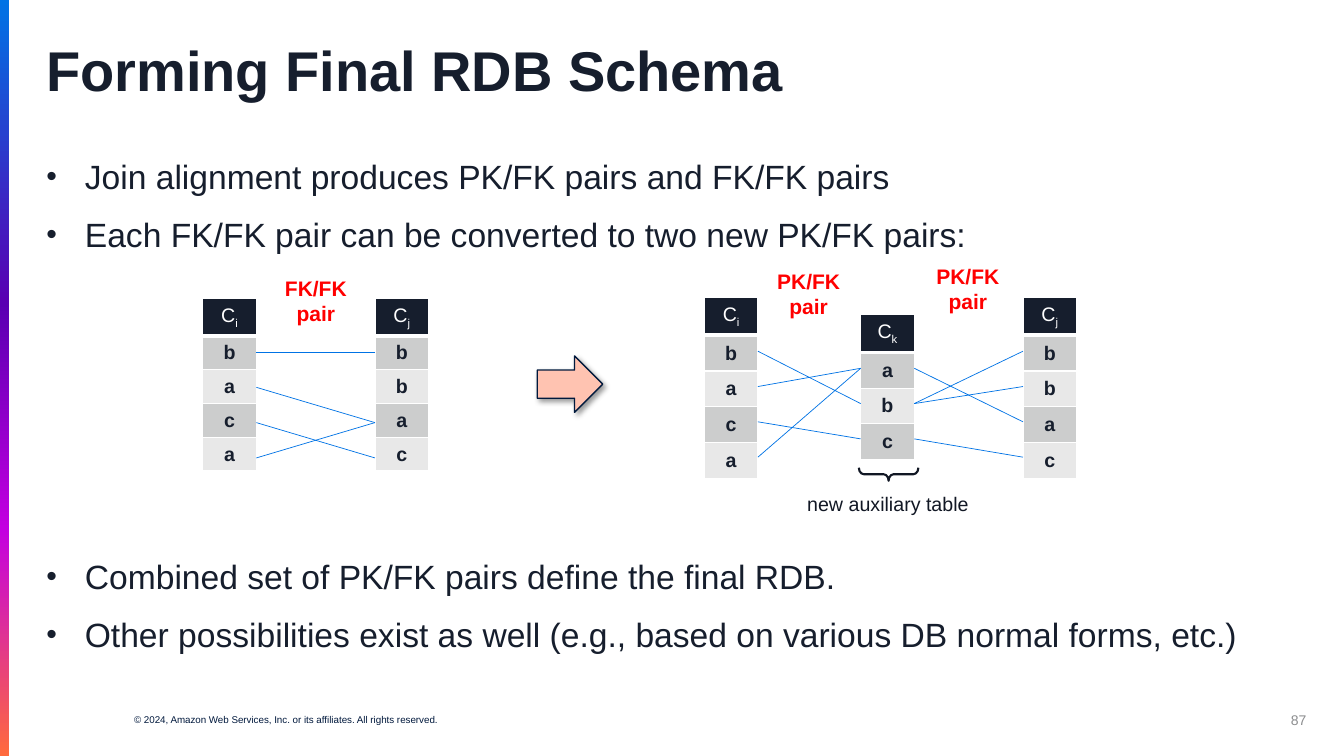
from lxml.etree import SubElement
from pptx import Presentation
from pptx.dml.color import RGBColor
from pptx.enum.shapes import MSO_CONNECTOR, MSO_SHAPE
from pptx.enum.text import MSO_ANCHOR, PP_ALIGN
from pptx.oxml.ns import qn
from pptx.util import Cm, Pt

COLORS = {
    "ink": "161E2D", "caption": "111724", "navy": "00193D", "red": "FF0000",
    "number": "8C8D8F", "white": "FFFFFF", "link": "0073E5", "peach": "FFC3B1",
    "odd_row": "CCCDCD", "even_row": "E8E8E8", "black": "000000",
}
BAR_STOPS = [(0, "0073E5"), (40, "5900B2"), (70, "C300E0"), (100, "FF6A3D")]

# Text formats
FORMATS = {
    "title": {"size": Pt(40), "bold": True, "color": "ink"},
    "body": {"size": Pt(24), "bold": False, "color": "ink"},
    "label": {"size": Pt(15), "bold": True, "color": "red"},
    "caption": {"size": Pt(14), "bold": False, "color": "caption"},
    "header": {"size": Pt(14), "bold": False, "color": "white"},
    "value": {"size": Pt(14), "bold": True, "color": "ink"},
    "footer": {"size": Pt(7), "bold": False, "color": "navy"},
    "number": {"size": Pt(10), "bold": False, "color": "number"},
}

# Texts: format, alignment, box in cm (left, top, width, height), lines
TEXTS = [
    ("title", PP_ALIGN.LEFT, (1.17, 0.97, 31.72, 1.8), ["Forming Final RDB Schema"]),
    ("body", PP_ALIGN.LEFT, (1.17, 3.81, 31.72, 2.9), [
        "Join alignment produces PK/FK pairs and FK/FK pairs",
        "Each FK/FK pair can be converted to two new PK/FK pairs:"]),
    ("body", PP_ALIGN.LEFT, (1.17, 13.89, 31.72, 2.9), [
        "Combined set of PK/FK pairs define the final RDB.",
        "Other possibilities exist as well (e.g., based on various DB normal forms, etc.)"]),
    ("label", PP_ALIGN.CENTER, (6.73, 6.81, 2.46, 1.55), ["FK/FK pair"]),
    ("label", PP_ALIGN.CENTER, (19.15, 6.63, 2.46, 1.55), ["PK/FK pair"]),
    ("label", PP_ALIGN.CENTER, (23.16, 6.5, 2.46, 1.55), ["PK/FK pair"]),
    ("caption", PP_ALIGN.CENTER, (19.84, 12.27, 5.08, 0.86), ["new auxiliary table"]),
    ("footer", PP_ALIGN.LEFT, (3.38, 17.98, 13.56, 0.3), [
        "© 2024, Amazon Web Services, Inc. or its affiliates. All rights reserved."]),
    ("number", PP_ALIGN.RIGHT, (25.3, 17.63, 7.62, 1.02), ["87"]),
]

# Column tables: left, top, row height in cm, subscript of C, values
COLUMNS = {
    "fk_i": (5.11, 7.52, 0.85, "i", "baca"),
    "fk_j": (9.45, 7.52, 0.85, "j", "bbac"),
    "pk_i": (17.75, 7.5, 0.9, "i", "baca"),
    "pk_k": (21.69, 7.93, 0.9, "k", "abc"),
    "pk_j": (25.78, 7.5, 0.9, "j", "bbac"),
}
# Links: from column, to column, pairs of value rows counted from 0
LINKS = [
    ("fk_i", "fk_j", [(0, 0), (1, 2), (2, 3), (3, 2)]),
    ("pk_i", "pk_k", [(0, 1), (1, 0), (2, 2), (3, 0)]),
    ("pk_k", "pk_j", [(0, 2), (1, 1), (1, 0), (2, 3)]),
]
COLUMN_WIDTH, HEADER_HEIGHT = 1.35, 0.95
FIRST_LINK, LINK_PITCH = 1.35, 0.89

presentation = Presentation()
presentation.slide_width, presentation.slide_height = Cm(33.87), Cm(19.05)
slide = presentation.slides.add_slide(presentation.slide_layouts[6])
shapes = slide.shapes


def rgb(name):
    return RGBColor.from_string(COLORS[name])


def set_all(target, values):
    for key, value in values.items():
        setattr(target, key, value)


def style(font, name):
    values = dict(FORMATS[name], name="Arial")
    font.color.rgb = rgb(values.pop("color"))
    set_all(font, values)


def add_child(parent, tag, **attributes):
    return SubElement(parent, qn(tag), attributes)


def add_bullet(paragraph):
    properties = paragraph._p.get_or_add_pPr()
    properties.set("marL", str(Cm(0.97)))
    properties.set("indent", str(-Cm(0.97)))
    add_child(add_child(properties, "a:buClr"), "a:srgbClr", val=COLORS["ink"])
    add_child(properties, "a:buSzPct", val="90000")
    add_child(properties, "a:buFont", typeface="Arial")
    add_child(properties, "a:buChar", char="•")


def add_text(name, alignment, box, lines):
    frame = shapes.add_textbox(*map(Cm, box)).text_frame
    inset = Cm(0 if name in ("footer", "number") else 0.13)
    set_all(frame, {
        "word_wrap": True, "margin_left": 0, "margin_right": 0,
        "margin_top": inset, "margin_bottom": inset,
        "vertical_anchor": MSO_ANCHOR.MIDDLE if name == "number" else MSO_ANCHOR.TOP})
    for index, line in enumerate(lines):
        paragraph = frame.paragraphs[0] if index == 0 else frame.add_paragraph()
        paragraph.alignment = alignment
        if name == "title":
            paragraph.line_spacing = 0.9
        if name == "body":
            paragraph.space_after = Pt(12)
            add_bullet(paragraph)
        run = paragraph.add_run()
        run.text = line
        style(run.font, name)


def add_borders(cell, bottom):
    properties = cell._tc.get_or_add_tcPr()
    for side in ("L", "R", "T", "B"):
        width = bottom if side == "B" else 1
        line = add_child(properties, f"a:ln{side}", w=str(Pt(width)))
        add_child(add_child(line, "a:solidFill"), "a:srgbClr", val=COLORS["white"])


def add_column(left, top, row_height, subscript, values):
    rows = [("C", subscript)] + [(value,) for value in values]
    heights = [HEADER_HEIGHT] + [row_height] * len(values)
    table = shapes.add_table(len(rows), 1, Cm(left), Cm(top),
                             Cm(COLUMN_WIDTH), Cm(sum(heights))).table
    set_all(table, {"first_row": False, "horz_banding": False})
    for index, (parts, height) in enumerate(zip(rows, heights)):
        table.rows[index].height = Cm(height)
        cell = table.cell(index, 0)
        set_all(cell, {"margin_left": Cm(0.1), "margin_right": Cm(0.1),
                       "margin_top": Cm(0.12), "margin_bottom": Cm(0.12),
                       "vertical_anchor": MSO_ANCHOR.MIDDLE})
        add_borders(cell, 1 if index else 3)
        cell.fill.solid()
        cell.fill.fore_color.rgb = rgb(
            "ink" if index == 0 else "odd_row" if index % 2 else "even_row")
        paragraph = cell.text_frame.paragraphs[0]
        paragraph.alignment = PP_ALIGN.CENTER
        for order, part in enumerate(parts):
            run = paragraph.add_run()
            run.text = part
            style(run.font, "value" if index else "header")
            if order:
                run._r.get_or_add_rPr().set("baseline", "-25000")


def add_link(start, end, start_row, end_row):
    ends = [(COLUMNS[start][0] + COLUMN_WIDTH, COLUMNS[start][1], start_row),
            (COLUMNS[end][0], COLUMNS[end][1], end_row)]
    points = [Cm(value) for x, top, row in ends
              for value in (x, top + FIRST_LINK + LINK_PITCH * row)]
    link = shapes.add_connector(MSO_CONNECTOR.STRAIGHT, *points)
    link.line.color.rgb = rgb("link")
    link.line.width = Pt(0.5)
    add_child(link._element.spPr, "a:effectLst")


def add_preset(kind, box, line=None, width=0):
    shape = shapes.add_shape(kind, *map(Cm, box))
    shape.shadow.inherit = False
    if line:
        shape.line.color.rgb = rgb(line)
        shape.line.width = Pt(width)
    else:
        shape.line.fill.background()
    return shape


# Gradient bar on the left edge
bar = add_preset(MSO_SHAPE.RECTANGLE, (0, 0, 0.23, 19.05))
bar.fill.gradient()
bar.fill.gradient_angle = 270
stops = bar._element.spPr.find(qn("a:gradFill")).find(qn("a:gsLst"))
for stop in list(stops):
    stops.remove(stop)
for position, color in BAR_STOPS:
    add_child(add_child(stops, "a:gs", pos=str(position * 1000)), "a:srgbClr", val=color)

# Texts, column tables and links
for text in TEXTS:
    add_text(*text)
for column in COLUMNS.values():
    add_column(*column)
for start, end, pairs in LINKS:
    for pair in pairs:
        add_link(start, end, *pair)

# Conversion arrow with its shadow
arrow = add_preset(MSO_SHAPE.RIGHT_ARROW, (13.54, 8.97, 1.65, 1.42), "navy", 1)
arrow.fill.solid()
arrow.fill.fore_color.rgb = rgb("peach")
shadow = add_child(arrow._element.spPr.find(qn("a:effectLst")), "a:outerShdw",
                   blurRad=str(Pt(4)), dist=str(Pt(3)), dir="2700000", algn="tl")
add_child(add_child(shadow, "a:srgbClr", val=COLORS["black"]), "a:alpha", val="40000")

# Brace under the auxiliary table
brace = add_preset(MSO_SHAPE.LEFT_BRACE, (22.23, 11.2, 0.33, 1.5), "caption", 1.5)
brace.fill.background()
brace.rotation = 270
brace.adjustments[0], brace.adjustments[1] = 0.38, 0.5

presentation.save("out.pptx")
